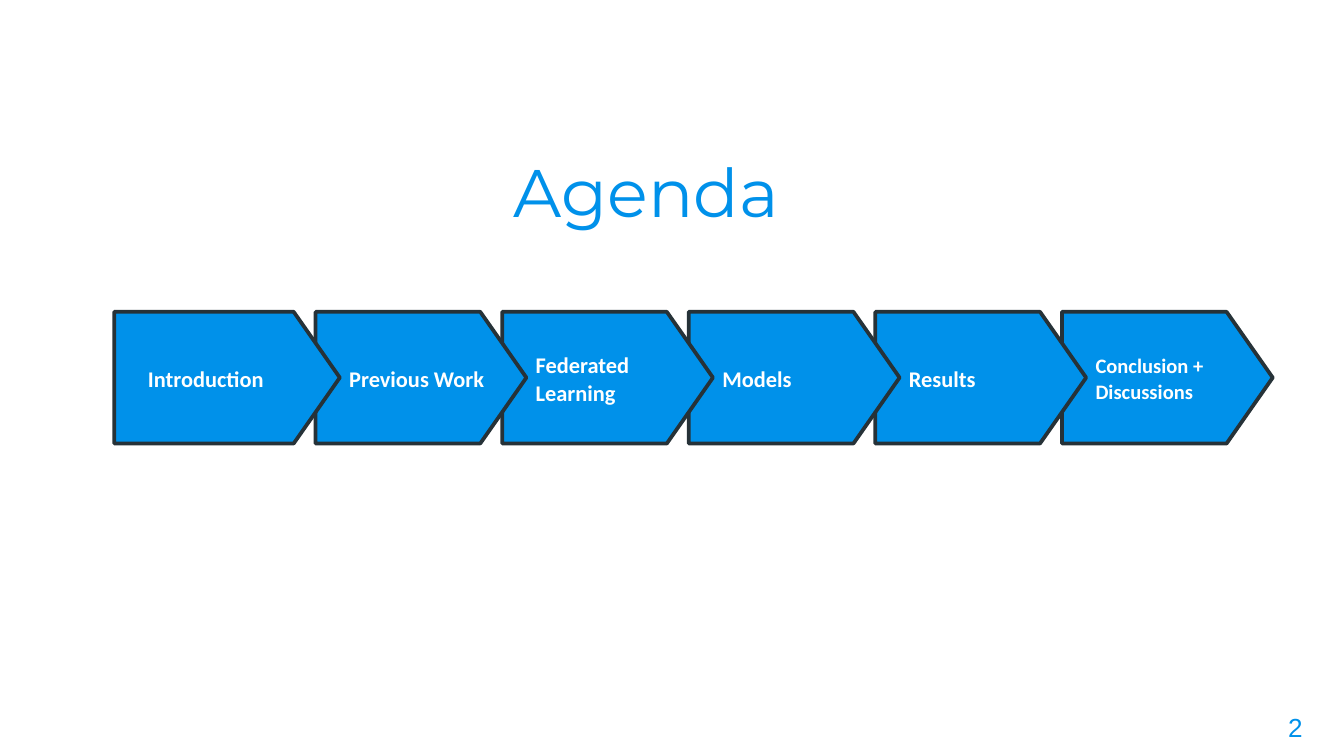
from dataclasses import dataclass

from pptx import Presentation
from pptx import util as u
from pptx.dml.color import RGBColor
from pptx.enum import shapes, text

WIDTH = 10
HEIGHT = WIDTH * 9 / 16


@dataclass(frozen=True)
class Theme:
    blue: RGBColor = RGBColor(0x00, 0x91, 0xEA)
    outline: RGBColor = RGBColor(0x26, 0x32, 0x38)
    white: RGBColor = RGBColor(0xFF, 0xFF, 0xFF)
    title_size: int = 36
    step_size: int = 12
    small_step_size: int = 11
    number_size: int = 14


THEME = Theme()
STEPS = [
    ("Introduction", THEME.step_size),
    ("Previous Work", THEME.step_size),
    ("Federated Learning", THEME.step_size),
    ("Models", THEME.step_size),
    ("Results", THEME.step_size),
    ("Conclusion + Discussions", THEME.small_step_size),
]


def set_all(target, values):
    for name, value in values.items():
        setattr(target, name, value)


def write(shape, words, font, size, color, bold=False, left_inset=0.1,
          anchor=text.MSO_ANCHOR.TOP, **paragraph_format):
    frame = shape.text_frame
    inset = u.Inches(0.1)
    set_all(frame, {
        "word_wrap": True, "vertical_anchor": anchor,
        "margin_left": u.Inches(left_inset), "margin_right": inset,
        "margin_top": inset, "margin_bottom": inset,
    })
    paragraph = frame.paragraphs[0]
    set_all(paragraph, paragraph_format)
    run = paragraph.add_run()
    run.text = words
    set_all(run.font, {"name": font, "size": u.Pt(size), "bold": bold})
    run.font.color.rgb = color


def add_title(slide, box, words):
    shape = slide.shapes.add_textbox(*map(u.Inches, box))
    write(shape, words, "Montserrat", THEME.title_size, THEME.blue,
          anchor=text.MSO_ANCHOR.BOTTOM, alignment=text.PP_ALIGN.CENTER)


def add_process(slide, box, steps):
    """Overlapping arrows, the first one longer and in front of the rest."""
    left, top, width, height = box
    overlap, first_extra = 0.18, 0.11
    pitch = (width - overlap - first_extra) / len(steps)
    for index, (label, size) in reversed(list(enumerate(steps))):
        extra = 0 if index else first_extra
        start = left + first_extra + index * pitch - extra
        arrow = slide.shapes.add_shape(
            shapes.MSO_SHAPE.PENTAGON,
            *map(u.Inches, (start, top, pitch + overlap + extra, height)))
        arrow.adjustments[0] = 0.35
        arrow.shadow.inherit = False
        arrow.fill.solid()
        arrow.fill.fore_color.rgb = THEME.blue
        arrow.line.color.rgb = THEME.outline
        arrow.line.width = u.Pt(2)
        write(arrow, label, "Calibri", size, THEME.white, bold=True,
              left_inset=0.25, anchor=text.MSO_ANCHOR.MIDDLE,
              alignment=text.PP_ALIGN.LEFT, line_spacing=1.06)


def add_slide_number(slide, box, number):
    shape = slide.shapes.add_textbox(*map(u.Inches, box))
    write(shape, str(number), "Arial", THEME.number_size, THEME.blue,
          alignment=text.PP_ALIGN.RIGHT)


def main():
    presentation = Presentation()
    set_all(presentation, {"slide_width": u.Inches(WIDTH),
                           "slide_height": u.Inches(HEIGHT)})
    slide = presentation.slides.add_slide(presentation.slide_layouts[6])
    add_title(slide, (1.62, 0.9, 6.38, 0.92), "Agenda")
    add_process(slide, (0.85, 2.32, 8.62, 0.98), STEPS)
    add_slide_number(slide, (9.19, HEIGHT - 0.43, 0.6, 0.43), 2)
    presentation.save("out.pptx")


if __name__ == "__main__":
    main()
